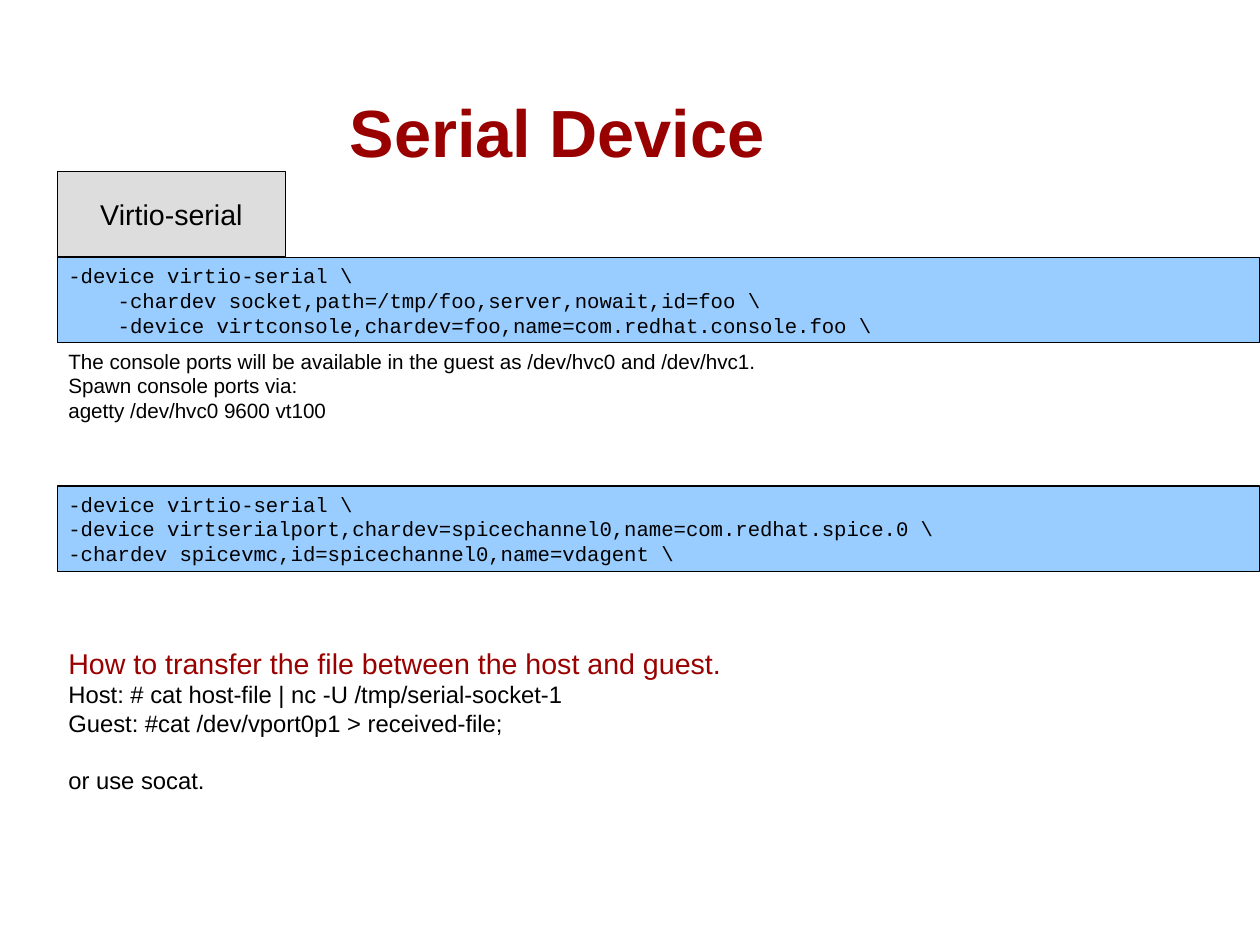
from pptx import Presentation
from pptx.dml.color import RGBColor
from pptx.enum.shapes import MSO_SHAPE
from pptx.enum.text import MSO_ANCHOR, PP_ALIGN
from pptx.util import Cm, Pt

COLORS = {"red": "990000", "black": "000000", "blue": "99CCFF", "gray": "DDDDDD"}
LEFT = 1.27
BAR_WIDTH, BAR_HEIGHT = 26.72, 1.9

# Text formats: font name, size, bold, colour
TITLE = {"name": "Arial", "size": Pt(42), "bold": True, "color": "red"}
HEADING = {"name": "Arial", "size": Pt(18), "color": "red"}
LABEL = {"name": "Arial", "size": Pt(18), "color": "black"}
BODY = {"name": "Arial", "size": Pt(15), "color": "black"}
NOTE = {"name": "Arial", "size": Pt(13), "color": "black"}
CODE = {"name": "Courier New", "size": Pt(13), "color": "black"}


def write_lines(box, lines, align=PP_ALIGN.LEFT, anchor=MSO_ANCHOR.TOP):
    frame = box.text_frame
    frame.word_wrap = True
    frame.vertical_anchor = anchor
    for index, (text, text_format) in enumerate(lines):
        para = frame.add_paragraph() if index else frame.paragraphs[0]
        para.alignment = align
        span = para.add_run()
        span.text = text
        for key, value in text_format.items():
            if key == "color":
                span.font.color.rgb = RGBColor.from_string(COLORS[value])
            else:
                setattr(span.font, key, value)


def add_panel(page, top, width, fill, lines, align=PP_ALIGN.LEFT):
    panel = page.shapes.add_shape(
        MSO_SHAPE.RECTANGLE, Cm(LEFT), Cm(top), Cm(width), Cm(BAR_HEIGHT))
    panel.shadow.inherit = False
    panel.fill.solid()
    panel.fill.fore_color.rgb = RGBColor.from_string(COLORS[fill])
    panel.line.color.rgb = RGBColor.from_string(COLORS["black"])
    panel.line.width = Pt(0)
    write_lines(panel, lines, align, MSO_ANCHOR.MIDDLE)


deck = Presentation()
deck.slide_width, deck.slide_height = Cm(28), Cm(21)
page = deck.slides.add_slide(deck.slide_layouts[6])

# Title
title = page.shapes.add_textbox(Cm(2.54), Cm(1.9), Cm(19.69), Cm(1.9))
write_lines(title, [("Serial Device", TITLE)], PP_ALIGN.CENTER)

# Command bars
commands = [
    (5.72, ["-device virtio-serial \\",
            "    -chardev socket,path=/tmp/foo,server,nowait,id=foo \\",
            "    -device virtconsole,chardev=foo,name=com.redhat.console.foo \\"]),
    (10.8, ["-device virtio-serial \\",
            "-device virtserialport,chardev=spicechannel0,name=com.redhat.spice.0 \\",
            "-chardev spicevmc,id=spicechannel0,name=vdagent \\"]),
]
for top, code in commands:
    add_panel(page, top, BAR_WIDTH, "blue", [(line, CODE) for line in code])

# Tab above the first bar
add_panel(page, 3.81, 5.08, "gray", [("Virtio-serial", LABEL)], PP_ALIGN.CENTER)

# Console port notes
notes = page.shapes.add_textbox(Cm(LEFT), Cm(7.62), Cm(20.32), Cm(3.56))
write_lines(notes, [
    ("The console ports will be available in the guest as /dev/hvc0 and /dev/hvc1.", NOTE),
    ("Spawn console ports via:", NOTE),
    ("agetty /dev/hvc0 9600 vt100", NOTE),
])

# File transfer
transfer = page.shapes.add_textbox(Cm(LEFT), Cm(14.22), Cm(24.13), Cm(6))
write_lines(transfer, [
    ("How to transfer the file between the host and guest.", HEADING),
    ("Host: # cat host-file | nc -U /tmp/serial-socket-1", BODY),
    ("Guest: #cat /dev/vport0p1 > received-file;", BODY),
    ("or use socat.", BODY),
])
transfer.text_frame.paragraphs[-1].space_before = Pt(18)

deck.save("out.pptx")
